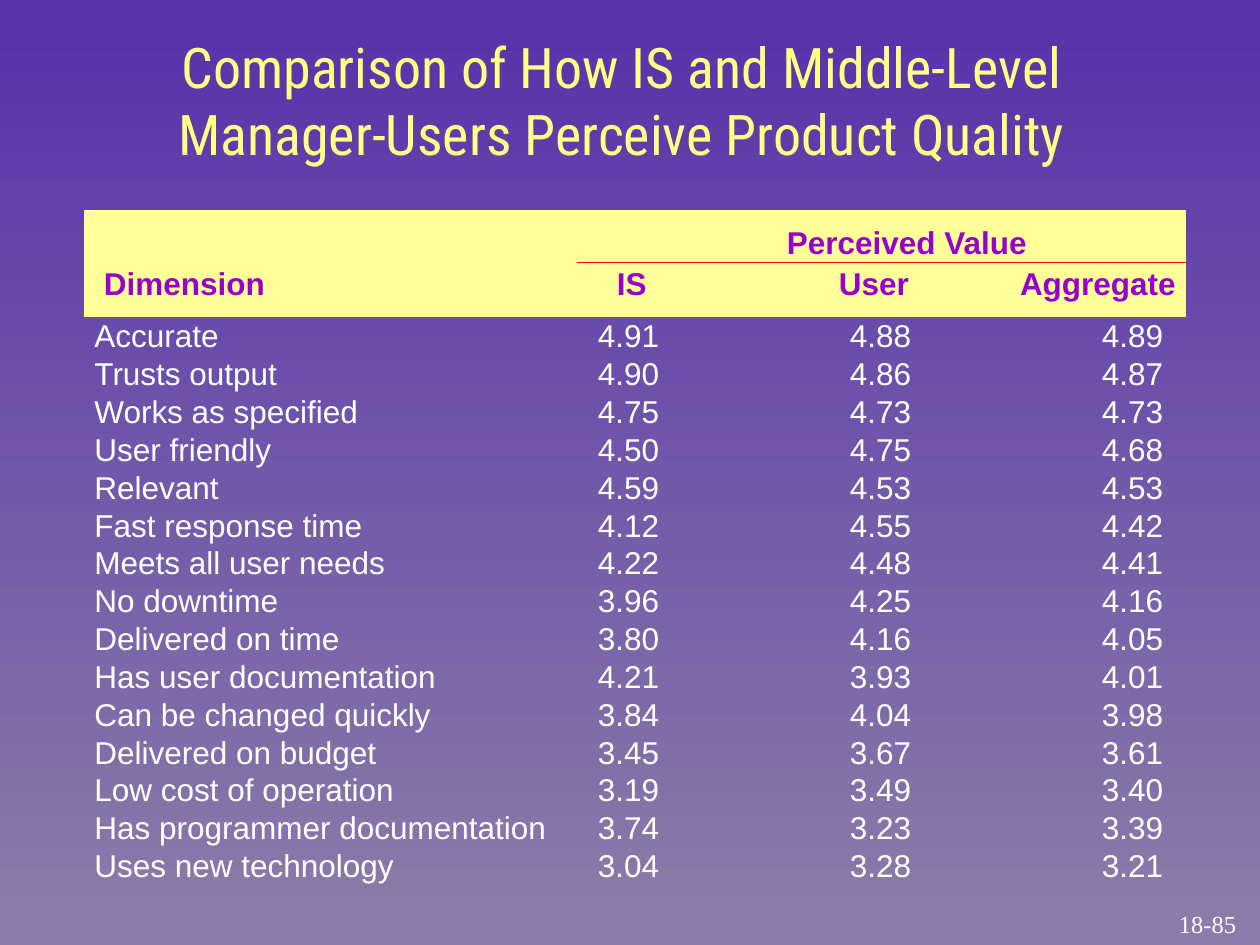
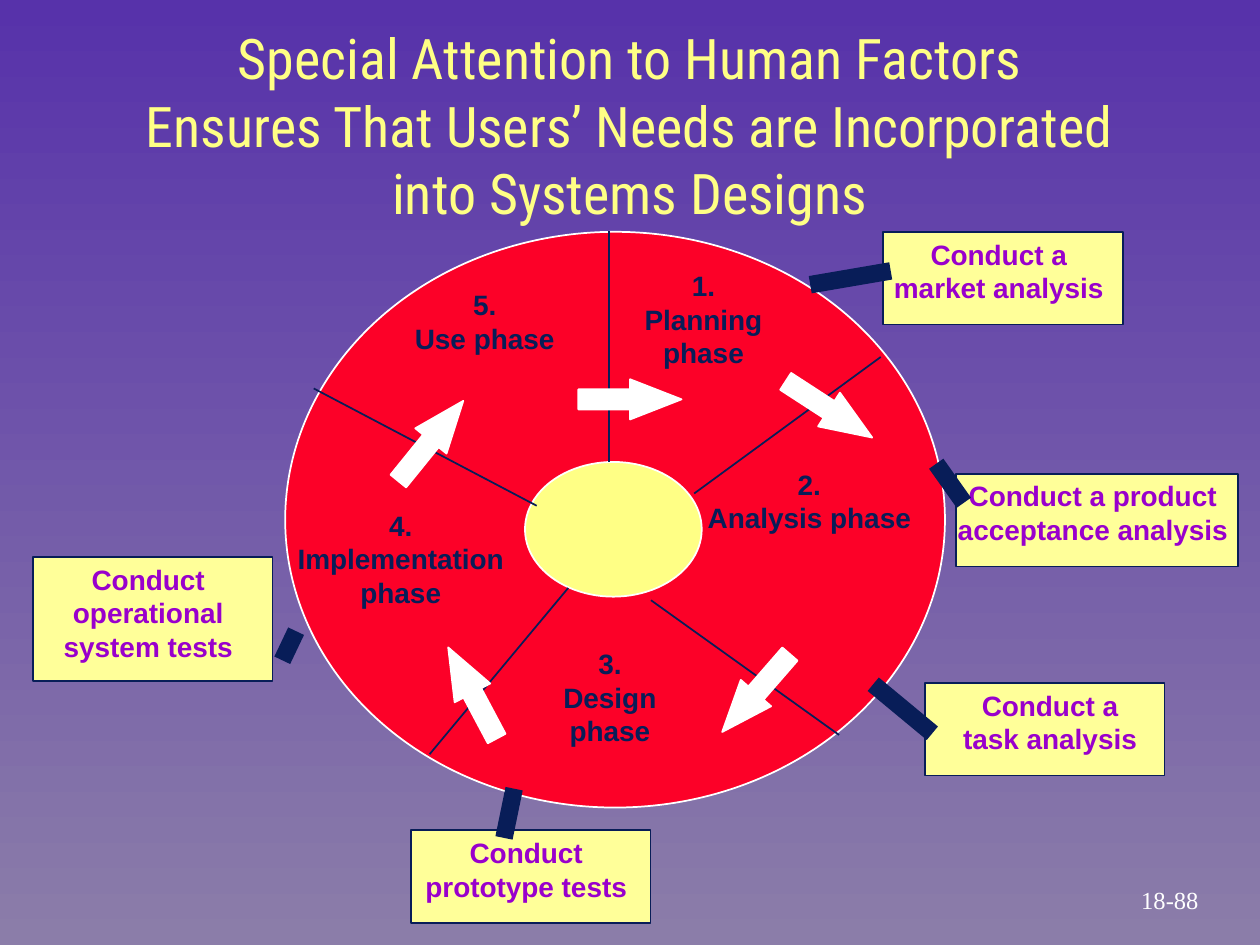
from lxml import etree
from pptx import Presentation
from pptx.dml.color import RGBColor
from pptx.enum.shapes import MSO_CONNECTOR, MSO_SHAPE
from pptx.enum.text import MSO_ANCHOR, MSO_AUTO_SIZE, PP_ALIGN
from pptx.oxml.ns import qn
from pptx.util import Pt

LEFT, CENTER = PP_ALIGN.LEFT, PP_ALIGN.CENTER
TOP, MIDDLE = MSO_ANCHOR.TOP, MSO_ANCHOR.MIDDLE
NO_FIT = MSO_AUTO_SIZE.NONE
STRAIGHT = MSO_CONNECTOR.STRAIGHT
RECTANGLE, OVAL, ARROW = MSO_SHAPE.RECTANGLE, MSO_SHAPE.OVAL, MSO_SHAPE.RIGHT_ARROW

COLORS = {
    "sky": "5732AA", "haze": "8B7DA9", "title": "FFFF85", "panel": "FFFF99",
    "purple": "9900CC", "white": "FFFFFF", "navy": "081D58", "red": "FC0128",
}
STYLES = {
    "title": ({"name": "Roboto Condensed", "size": Pt(32), "bold": False}, "title"),
    "page": ({"name": "Times New Roman", "size": Pt(14)}, "white"),
    "head": ({"name": "Arial", "size": Pt(18), "bold": True}, "purple"),
    "value": ({"name": "Arial", "size": Pt(18), "bold": False}, "white"),
    "phase": ({"name": "Arial", "size": Pt(16), "bold": True}, "navy"),
    "callout": ({"name": "Arial", "size": Pt(16), "bold": True}, "purple"),
}
LINE_PITCH = 1.2
PLAIN_TABLE = "{2D5ABB26-0587-4C30-8999-92F81FD0307C}"

QUALITY = {
    "title": ["Comparison of How IS and Middle-Level",
              "Manager-Users Perceive Product Quality"],
    "title_box": (44, 15, 623, 84),
    "page": "18-85",
    "page_box": (660, 516, 60, 24),
}
SPANNING_HEAD = "Perceived Value"
DIMENSION_HEADS = ["Dimension", "IS", "User", "Aggregate"]
PERCEPTIONS = [
    ("Accurate", "4.91", "4.88", "4.89"),
    ("Trusts output", "4.90", "4.86", "4.87"),
    ("Works as specified", "4.75", "4.73", "4.73"),
    ("User friendly", "4.50", "4.75", "4.68"),
    ("Relevant", "4.59", "4.53", "4.53"),
    ("Fast response time", "4.12", "4.55", "4.42"),
    ("Meets all user needs", "4.22", "4.48", "4.41"),
    ("No downtime", "3.96", "4.25", "4.16"),
    ("Delivered on time", "3.80", "4.16", "4.05"),
    ("Has user documentation", "4.21", "3.93", "4.01"),
    ("Can be changed quickly", "3.84", "4.04", "3.98"),
    ("Delivered on budget", "3.45", "3.67", "3.61"),
    ("Low cost of operation", "3.19", "3.49", "3.40"),
    ("Has programmer documentation", "3.74", "3.23", "3.39"),
    ("Uses new technology", "3.04", "3.28", "3.21"),
]
TABLE_LEFT, TABLE_TOP = 48, 120
COLUMN_WIDTHS = [282, 144, 96, 108]
HEAD_INDENTS = [11.4, 22.5, 5.4, 12.9]
VALUE_INDENTS = [6, 11.7, 11.7, 59.7]
SPANNING_INDENT = 119.7
HEAD_HEIGHTS = [30, 31]
VALUE_HEIGHT = 21.6

FACTORS = {
    "title": ["Special Attention to Human Factors",
              "Ensures That Users’ Needs are Incorporated",
              "into Systems Designs"],
    "title_box": (11.5, 10, 697, 122),
    "page": "18-88",
    "page_box": (638.5, 502, 60, 24),
}
WHEEL, HUB = (163, 132.5, 377, 329), (300, 264, 101, 77)
DIVIDERS = [
    (348, 264, 348, 132),
    (396.7, 282, 503.3, 204),
    (372, 343, 479.5, 420),
    (324.7, 336, 245.5, 431),
    (306.7, 289, 179.3, 222),
]
PHASE_WIDTH = 134
PHASES = [
    (["1.", "Planning", "phase"], 402, 150),
    (["2.", "Analysis phase"], 462.5, 263.5),
    (["3.", "Design", "phase"], 348.5, 366),
    (["4.", "Implementation", "phase"], 229, 287),
    (["5.", "Use phase"], 277, 161),
]
CALLOUTS = [
    (["Conduct a", "market analysis"], (504.7, 132.5, 137, 53), -2.5),
    (["Conduct a product", "acceptance analysis"], (546.5, 270.7, 161, 53), -2.5),
    (["Conduct a", "task analysis"], (528.5, 390.2, 137, 53), 3),
    (["Conduct", "prototype tests"], (234.7, 474.5, 137, 53), -2.5),
    (["Conduct", "operational", "system tests"], (18.7, 318.2, 137, 71), -2.5),
]
LEADERS = [
    (161.3, 377.3, 169.2, 360.7),
    (288, 478.8, 293.8, 450.7),
    (532.8, 419, 499, 391),
    (550.8, 287.3, 535, 265),
    (509, 154.8, 463, 162.7),
]
ARROW_SIZE = (59, 23)
ARROWS = [
    (216.7, 240.5, 309),
    (240.5, 384.5, 242),
    (402.5, 384.5, 131),
    (444.2, 222.5, 33),
    (330.5, 216.7, 0),
]


def rgb(color):
    return RGBColor.from_string(COLORS[color])


def points(lengths):
    return [Pt(length) for length in lengths]


def set_all(target, values):
    for attribute, value in values.items():
        setattr(target, attribute, value)


def write(frame, lines, style, align=CENTER):
    font, color = STYLES[style]
    for index, line in enumerate(lines):
        paragraph = frame.paragraphs[0] if index == 0 else frame.add_paragraph()
        set_all(paragraph, {"text": line, "alignment": align,
                            "space_before": Pt(0), "space_after": Pt(0),
                            "line_spacing": Pt(font["size"].pt * LINE_PITCH)})
        run = paragraph.runs[0]
        set_all(run.font, font)
        run.font.color.rgb = rgb(color)


def add_label(slide, lines, style, box, anchor=TOP):
    frame = slide.shapes.add_textbox(*points(box)).text_frame
    set_all(frame, {"word_wrap": True, "vertical_anchor": anchor})
    write(frame, lines, style)


def add_figure(slide, kind, box, fill, line):
    figure = slide.shapes.add_shape(kind, *points(box))
    figure.shadow.inherit = False
    figure.fill.solid()
    figure.fill.fore_color.rgb = rgb(fill)
    figure.line.color.rgb = rgb(line)
    figure.line.width = Pt(1)
    return figure


def add_rule(slide, ends, color, width):
    rule = slide.shapes.add_connector(STRAIGHT, *points(ends))
    rule.line.color.rgb = rgb(color)
    rule.line.width = Pt(width)
    etree.SubElement(rule._element.spPr, qn("a:effectLst"))


def paint_background(prs):
    fill = prs.slide_master.background.fill
    fill.gradient()
    fill.gradient_angle = 270
    for stop, color, position in zip(fill.gradient_stops, ("sky", "haze"), (0, 1)):
        stop.color.rgb = rgb(color)
        stop.position = position


def start_slide(prs, content):
    slide = prs.slides.add_slide(prs.slide_layouts[5])
    for holder in list(slide.placeholders):
        if holder != slide.shapes.title:
            holder._element.getparent().remove(holder._element)
    title = slide.shapes.title
    set_all(title, dict(zip(("left", "top", "width", "height"),
                            points(content["title_box"]))))
    set_all(title.text_frame, {"auto_size": NO_FIT, "vertical_anchor": TOP,
                               "word_wrap": True})
    write(title.text_frame, content["title"], "title")
    add_label(slide, [content["page"]], "page", content["page_box"], MIDDLE)
    return slide


def fill_cell(cell, text, style, indent, drop):
    set_all(cell, {"margin_left": Pt(indent), "margin_right": Pt(0),
                   "margin_top": Pt(drop), "margin_bottom": Pt(0),
                   "vertical_anchor": TOP})
    write(cell.text_frame, [text], style, LEFT)


def add_perceptions(slide):
    heights = HEAD_HEIGHTS + [VALUE_HEIGHT] * len(PERCEPTIONS)
    width = sum(COLUMN_WIDTHS)
    box = points((TABLE_LEFT, TABLE_TOP, width, sum(heights)))
    table = slide.shapes.add_table(len(heights), len(COLUMN_WIDTHS), *box).table
    set_all(table, {"first_row": False, "horz_banding": False})
    table._tbl.tblPr.find(qn("a:tableStyleId")).text = PLAIN_TABLE
    for column, column_width in zip(table.columns, COLUMN_WIDTHS):
        column.width = Pt(column_width)
    for index, (row, height) in enumerate(zip(table.rows, heights)):
        row.height = Pt(height)
        for cell in row.cells:
            set_all(cell, {"margin_top": 0, "margin_bottom": 0})
            if index < len(HEAD_HEIGHTS):
                cell.fill.solid()
                cell.fill.fore_color.rgb = rgb("panel")
            else:
                cell.fill.background()
    table.cell(0, 1).merge(table.cell(0, 3))
    fill_cell(table.cell(0, 1), SPANNING_HEAD, "head", SPANNING_INDENT, 7.4)
    for row, texts in enumerate([DIMENSION_HEADS] + PERCEPTIONS, 1):
        is_head = row == 1
        indents = HEAD_INDENTS if is_head else VALUE_INDENTS
        style, drop = ("head", 1.2) if is_head else ("value", 0)
        for column, (text, indent) in enumerate(zip(texts, indents)):
            fill_cell(table.cell(row, column), text, style, indent, drop)
    rule_y = TABLE_TOP + HEAD_HEIGHTS[0]
    add_rule(slide, (TABLE_LEFT + COLUMN_WIDTHS[0], rule_y,
                     TABLE_LEFT + width, rule_y), "red", 1)


def add_phase_wheel(slide):
    add_figure(slide, OVAL, WHEEL, "red", "white")
    add_figure(slide, OVAL, HUB, "title", "white")
    for divider in DIVIDERS:
        add_rule(slide, divider, "navy", 1)
    for lines, center, top in PHASES:
        height = len(lines) * 16 * LINE_PITCH + 7.2
        add_label(slide, lines, "phase",
                  (center - PHASE_WIDTH / 2, top, PHASE_WIDTH, height))


def add_callouts(slide):
    for lines, box, shift in CALLOUTS:
        frame = add_figure(slide, RECTANGLE, box, "panel", "navy").text_frame
        set_all(frame, {"word_wrap": True, "vertical_anchor": TOP,
                        "margin_left": Pt(max(0, 2 * shift)),
                        "margin_right": Pt(max(0, -2 * shift)),
                        "margin_top": Pt(3)})
        write(frame, lines, "callout")
    for leader in LEADERS:
        add_rule(slide, leader, "navy", 10)


def add_cycle_arrows(slide):
    for left, top, angle in ARROWS:
        arrow = add_figure(slide, ARROW, (left, top, *ARROW_SIZE), "white", "white")
        arrow.rotation = angle
        arrow.adjustments[1] = 1.28


def main():
    prs = Presentation()
    prs.slide_width, prs.slide_height = Pt(720), Pt(540)
    paint_background(prs)
    add_perceptions(start_slide(prs, QUALITY))
    factors = start_slide(prs, FACTORS)
    add_phase_wheel(factors)
    add_callouts(factors)
    add_cycle_arrows(factors)
    prs.save("out.pptx")


if __name__ == "__main__":
    main()
